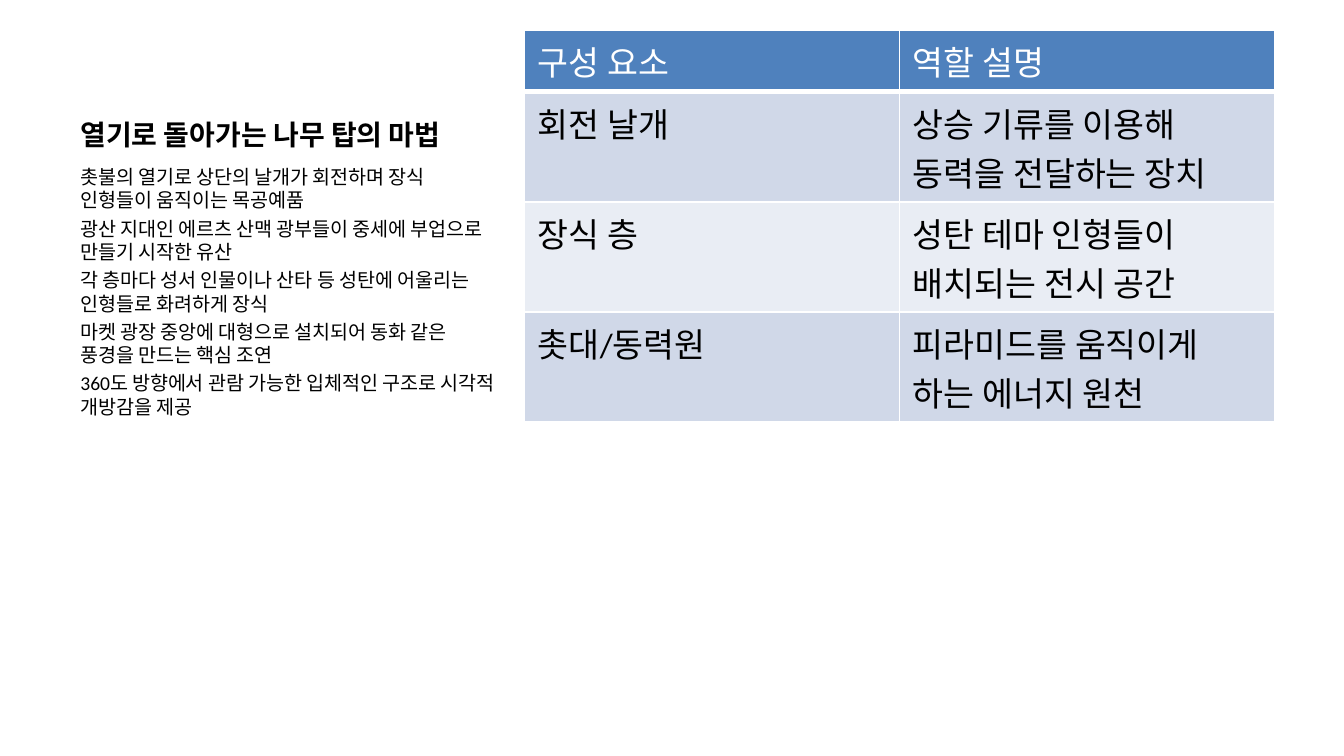
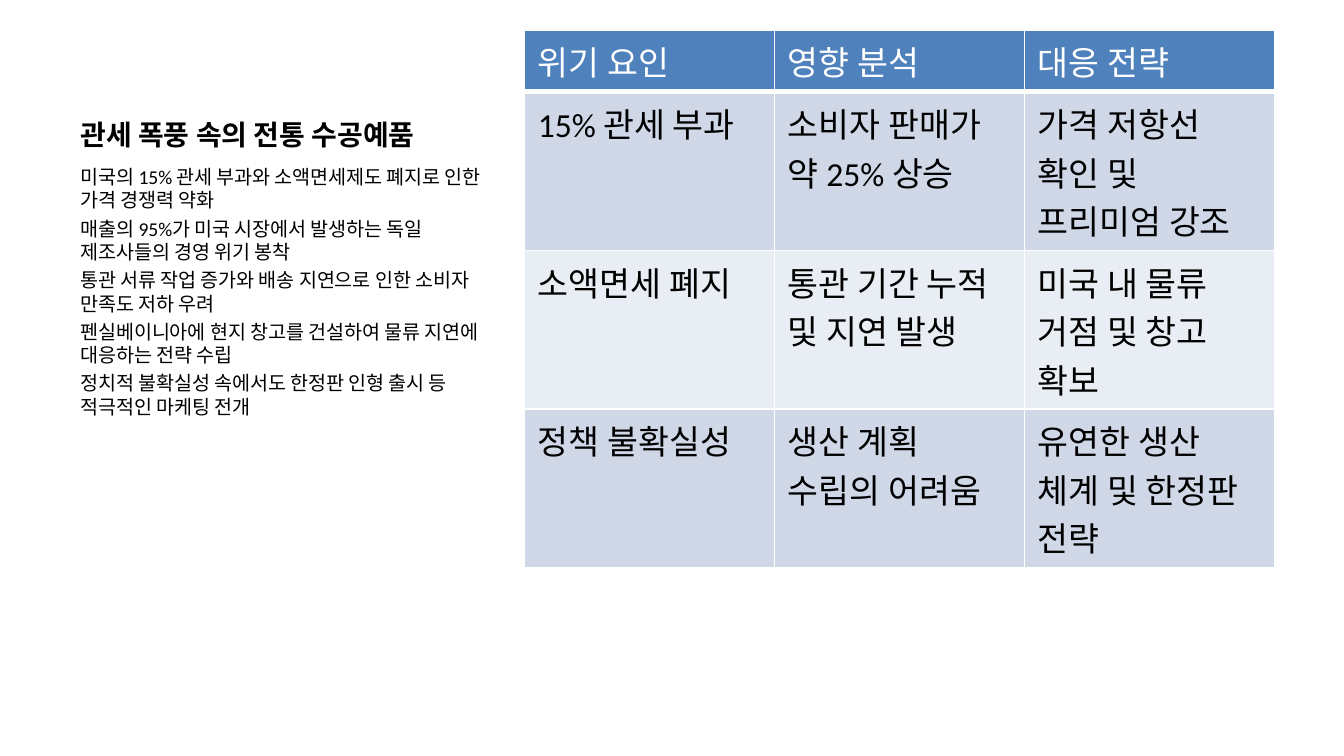
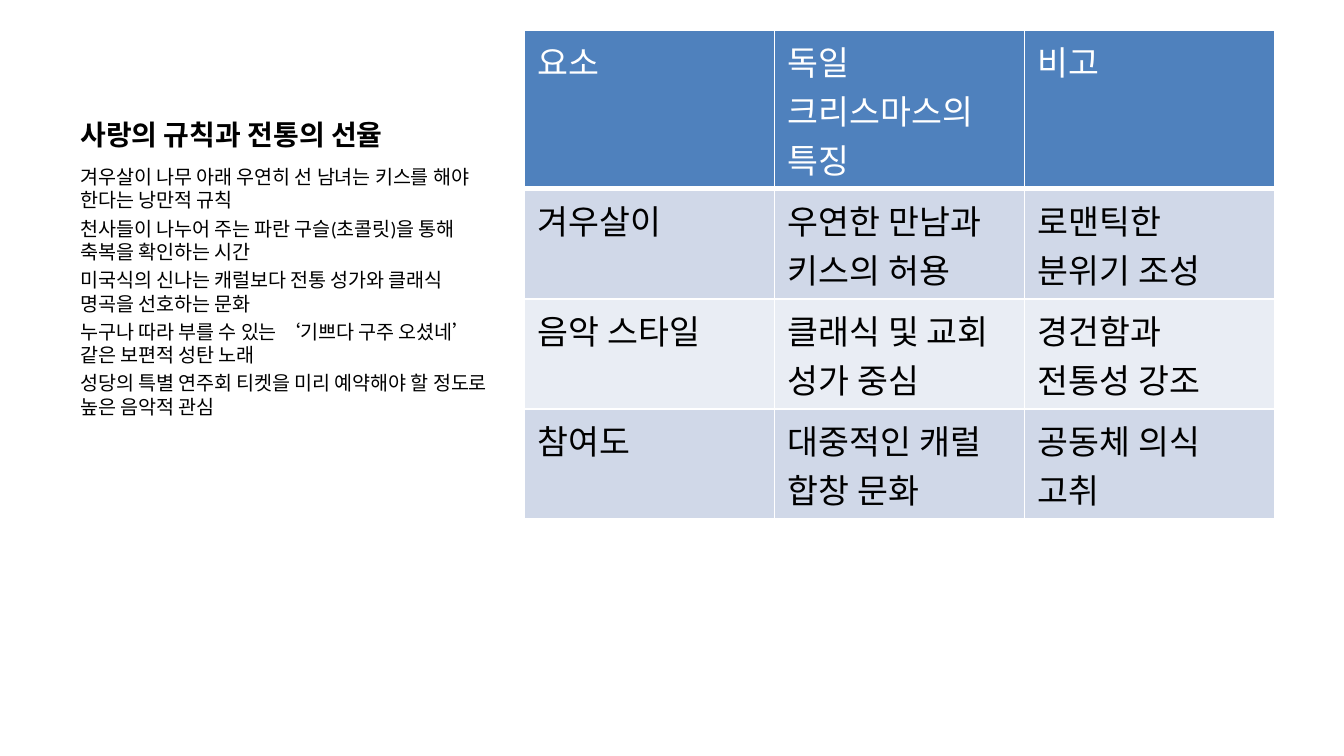
from dataclasses import dataclass

import lxml.etree
import pptx
import pptx.dml.color
import pptx.enum.text
import pptx.oxml.ns
import pptx.util


@dataclass(frozen=True)
class Theme:
    font: str = "Calibri"
    ink: str = "000000"
    paper: str = "FFFFFF"
    header: str = "4F81BD"
    bands: tuple = ("D0D8E8", "E9EDF4")
    title_size: float = 15
    body_size: float = 10.5
    table_size: float = 18
    rule: float = 1
    header_rule: float = 3


THEME = Theme()
TOP = 16.13
TITLE_HEIGHT = 68.62
COLUMN_LEFT, COLUMN_WIDTH = 36, 236.88
BODY_HEIGHT = 277.03
TABLE_LEFT, TABLE_WIDTH = 281, 401.76
CELL_PADDING, TABLE_LINE = 7, 26

TOPICS = [
    {
        "title": "열기로 돌아가는 나무 탑의 마법",
        "points": [
            "촛불의 열기로 상단의 날개가 회전하며 장식 인형들이 움직이는 목공예품",
            "광산 지대인 에르츠 산맥 광부들이 중세에 부업으로 만들기 시작한 유산",
            "각 층마다 성서 인물이나 산타 등 성탄에 어울리는 인형들로 화려하게 장식",
            "마켓 광장 중앙에 대형으로 설치되어 동화 같은 풍경을 만드는 핵심 조연",
            "360도 방향에서 관람 가능한 입체적인 구조로 시각적 개방감을 제공",
        ],
        "row_lines": [1, 2, 2, 2],
        "rows": [
            ["구성 요소", "역할 설명"],
            ["회전 날개", "상승 기류를 이용해 동력을 전달하는 장치"],
            ["장식 층", "성탄 테마 인형들이 배치되는 전시 공간"],
            ["촛대/동력원", "피라미드를 움직이게 하는 에너지 원천"],
        ],
    },
    {
        "title": "관세 폭풍 속의 전통 수공예품",
        "points": [
            "미국의 15% 관세 부과와 소액면세제도 폐지로 인한 가격 경쟁력 약화",
            "매출의 95%가 미국 시장에서 발생하는 독일 제조사들의 경영 위기 봉착",
            "통관 서류 작업 증가와 배송 지연으로 인한 소비자 만족도 저하 우려",
            "펜실베이니아에 현지 창고를 건설하여 물류 지연에 대응하는 전략 수립",
            "정치적 불확실성 속에서도 한정판 인형 출시 등 적극적인 마케팅 전개",
        ],
        "row_lines": [1, 3, 3, 3],
        "rows": [
            ["위기 요인", "영향 분석", "대응 전략"],
            ["15% 관세 부과", "소비자 판매가 약 25% 상승", "가격 저항선 확인 및 프리미엄 강조"],
            ["소액면세 폐지", "통관 기간 누적 및 지연 발생", "미국 내 물류 거점 및 창고 확보"],
            ["정책 불확실성", "생산 계획 수립의 어려움", "유연한 생산 체계 및 한정판 전략"],
        ],
    },
    {
        "title": "사랑의 규칙과 전통의 선율",
        "points": [
            "겨우살이 나무 아래 우연히 선 남녀는 키스를 해야 한다는 낭만적 규칙",
            "천사들이 나누어 주는 파란 구슬(초콜릿)을 통해 축복을 확인하는 시간",
            "미국식의 신나는 캐럴보다 전통 성가와 클래식 명곡을 선호하는 문화",
            "누구나 따라 부를 수 있는 ‘기쁘다 구주 오셨네’ 같은 보편적 성탄 노래",
            "성당의 특별 연주회 티켓을 미리 예약해야 할 정도로 높은 음악적 관심",
        ],
        "row_lines": [3, 2, 2, 2],
        "rows": [
            ["요소", "독일 크리스마스의 특징", "비고"],
            ["겨우살이", "우연한 만남과 키스의 허용", "로맨틱한 분위기 조성"],
            ["음악 스타일", "클래식 및 교회 성가 중심", "경건함과 전통성 강조"],
            ["참여도", "대중적인 캐럴 합창 문화", "공동체 의식 고취"],
        ],
    },
]


def rgb(value):
    return pptx.dml.color.RGBColor.from_string(value)


def style_runs(frame, size, color, bold=False):
    for paragraph in frame.paragraphs:
        for run in paragraph.runs:
            run.font.name = THEME.font
            run.font.size = pptx.util.Pt(size)
            run.font.bold = bold
            run.font.color.rgb = rgb(color)


def add_text(slide, top, height, text, size, bold=False):
    box = slide.shapes.add_textbox(
        *map(pptx.util.Pt, (COLUMN_LEFT, top, COLUMN_WIDTH, height)))
    frame = box.text_frame
    frame.word_wrap = True
    frame.text = text
    style_runs(frame, size, THEME.ink, bold)
    return frame


def add_title(slide, title):
    frame = add_text(slide, TOP, TITLE_HEIGHT, title, THEME.title_size, True)
    frame.vertical_anchor = pptx.enum.text.MSO_ANCHOR.BOTTOM


def add_points(slide, points):
    frame = add_text(slide, TOP + TITLE_HEIGHT, BODY_HEIGHT,
                     "\n".join(points), THEME.body_size)
    for paragraph in frame.paragraphs:
        paragraph.space_before = pptx.util.Pt(2.5)


def set_borders(cell, widths):
    properties = cell._tc.get_or_add_tcPr()
    for position, (side, width) in enumerate(widths.items()):
        line = lxml.etree.Element(pptx.oxml.ns.qn(f"a:ln{side}"),
                                  w=str(pptx.util.Pt(width)))
        fill = lxml.etree.SubElement(line, pptx.oxml.ns.qn("a:solidFill"))
        lxml.etree.SubElement(fill, pptx.oxml.ns.qn("a:srgbClr"), val=THEME.paper)
        properties.insert(position, line)


def fill_cell(cell, text, row_index):
    is_header = row_index == 0
    cell.text_frame.text = text
    style_runs(cell.text_frame, THEME.table_size,
               THEME.paper if is_header else THEME.ink)
    cell.fill.solid()
    cell.fill.fore_color.rgb = rgb(
        THEME.header if is_header else THEME.bands[(row_index - 1) % 2])
    widths = dict.fromkeys("LRTB", THEME.rule)
    if is_header:
        widths["B"] = THEME.header_rule
    set_borders(cell, widths)


def add_summary_table(slide, rows, row_lines):
    heights = [CELL_PADDING + TABLE_LINE * lines for lines in row_lines]
    table = slide.shapes.add_table(
        len(rows), len(rows[0]),
        *map(pptx.util.Pt, (TABLE_LEFT, TOP, TABLE_WIDTH, sum(heights)))).table
    for row_index, (texts, height) in enumerate(zip(rows, heights)):
        table.rows[row_index].height = pptx.util.Pt(height)
        for column_index, text in enumerate(texts):
            fill_cell(table.cell(row_index, column_index), text, row_index)


def main():
    deck = pptx.Presentation()
    deck.slide_width = pptx.util.Pt(720)
    deck.slide_height = pptx.util.Pt(405)
    for topic in TOPICS:
        slide = deck.slides.add_slide(deck.slide_layouts[6])
        add_title(slide, topic["title"])
        add_points(slide, topic["points"])
        add_summary_table(slide, topic["rows"], topic["row_lines"])
    deck.save("out.pptx")


if __name__ == "__main__":
    main()
